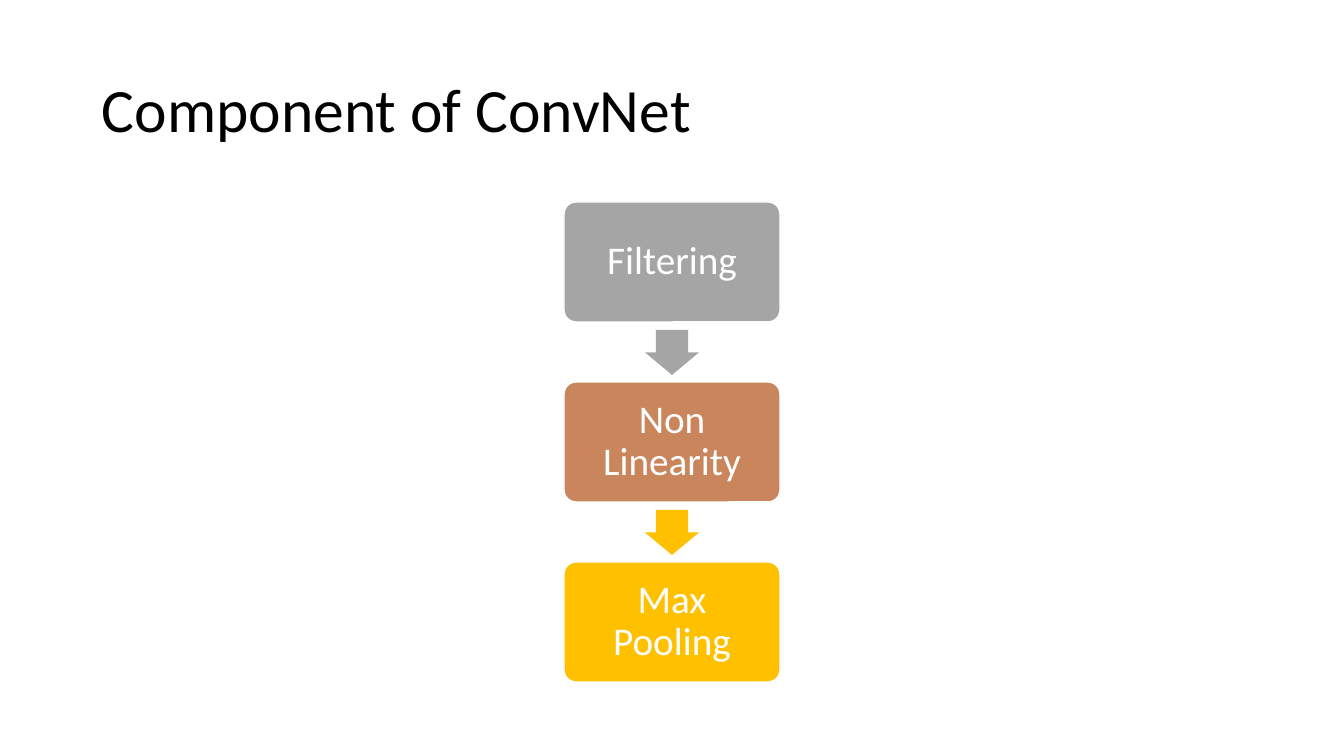
from dataclasses import dataclass

from pptx import Presentation
from pptx import util as u
from pptx.dml.color import RGBColor
from pptx.enum import shapes, text

SLIDE_W, SLIDE_H = 1344, 756
EMU_PER_PX = u.Inches(13.3333333) / SLIDE_W

BLACK = RGBColor(0x00, 0x00, 0x00)
WHITE = RGBColor(0xFF, 0xFF, 0xFF)
GREY = RGBColor(0xA5, 0xA5, 0xA5)
COPPER = RGBColor(0xC9, 0x85, 0x5C)
GOLD = RGBColor(0xFF, 0xC0, 0x00)

STAGE_LEFT, STAGE_TOP, STAGE_W, STAGE_H = 564, 202, 216, 120
STAGE_PITCH = 180
ARROW_W, ARROW_H = 54, 45
STAGE_INSET = 12


@dataclass(frozen=True)
class Stage:
    label: str
    fill: RGBColor


STAGES = [
    Stage("Filtering", GREY),
    Stage("Non Linearity", COPPER),
    Stage("Max Pooling", GOLD),
]


def px(length: float) -> u.Emu:
    return u.Emu(round(length * EMU_PER_PX))


def write(frame, words: str, size: int, color: RGBColor, align) -> None:
    frame.word_wrap = True
    frame.vertical_anchor = text.MSO_ANCHOR.MIDDLE
    line = frame.paragraphs[0]
    line.alignment = align
    line.line_spacing = 0.9
    run = line.add_run()
    run.text = words
    for name, value in {"name": "Calibri", "size": u.Pt(size)}.items():
        setattr(run.font, name, value)
    run.font.color.rgb = color


def add_block(slide, kind, box: tuple[int, int, int, int], fill: RGBColor,
              adjustments: list[float]):
    block = slide.shapes.add_shape(kind, *map(px, box))
    block.shadow.inherit = False
    block.fill.solid()
    block.fill.fore_color.rgb = fill
    for index, value in enumerate(adjustments):
        block.adjustments[index] = value
    return block


def add_stage(slide, stage: Stage, top: int) -> None:
    box = add_block(slide, shapes.MSO_SHAPE.ROUNDED_RECTANGLE,
                    (STAGE_LEFT, top, STAGE_W, STAGE_H), stage.fill, [0.1])
    box.line.color.rgb = WHITE
    box.line.width = u.Pt(1)
    for side in ("left", "top", "right", "bottom"):
        setattr(box.text_frame, f"margin_{side}", px(STAGE_INSET))
    write(box.text_frame, stage.label, 28, WHITE, text.PP_ALIGN.CENTER)


def add_arrow(slide, fill: RGBColor, stage_top: int) -> None:
    """Centre an arrow in the gap above a stage."""
    left = STAGE_LEFT + (STAGE_W - ARROW_W) // 2
    gap = STAGE_PITCH - STAGE_H
    top = stage_top - (gap + ARROW_H) // 2
    arrow = add_block(slide, shapes.MSO_SHAPE.DOWN_ARROW,
                      (left, top, ARROW_W, ARROW_H), fill, [0.6, 0.5])
    arrow.line.fill.background()


def main() -> None:
    deck = Presentation()
    deck.slide_width, deck.slide_height = px(SLIDE_W), px(SLIDE_H)
    slide = deck.slides.add_slide(deck.slide_layouts[6])

    # Title
    title = slide.shapes.add_textbox(px(92), px(40), px(1159), px(146))
    write(title.text_frame, "Component of ConvNet", 44, BLACK, text.PP_ALIGN.LEFT)

    # Stages, each arrow in the colour of the gap it fills
    arrow_fills = [None, GREY, GOLD]
    for index, (stage, arrow_fill) in enumerate(zip(STAGES, arrow_fills)):
        top = STAGE_TOP + index * STAGE_PITCH
        if arrow_fill is not None:
            add_arrow(slide, arrow_fill, top)
        add_stage(slide, stage, top)

    deck.save("out.pptx")


if __name__ == "__main__":
    main()
